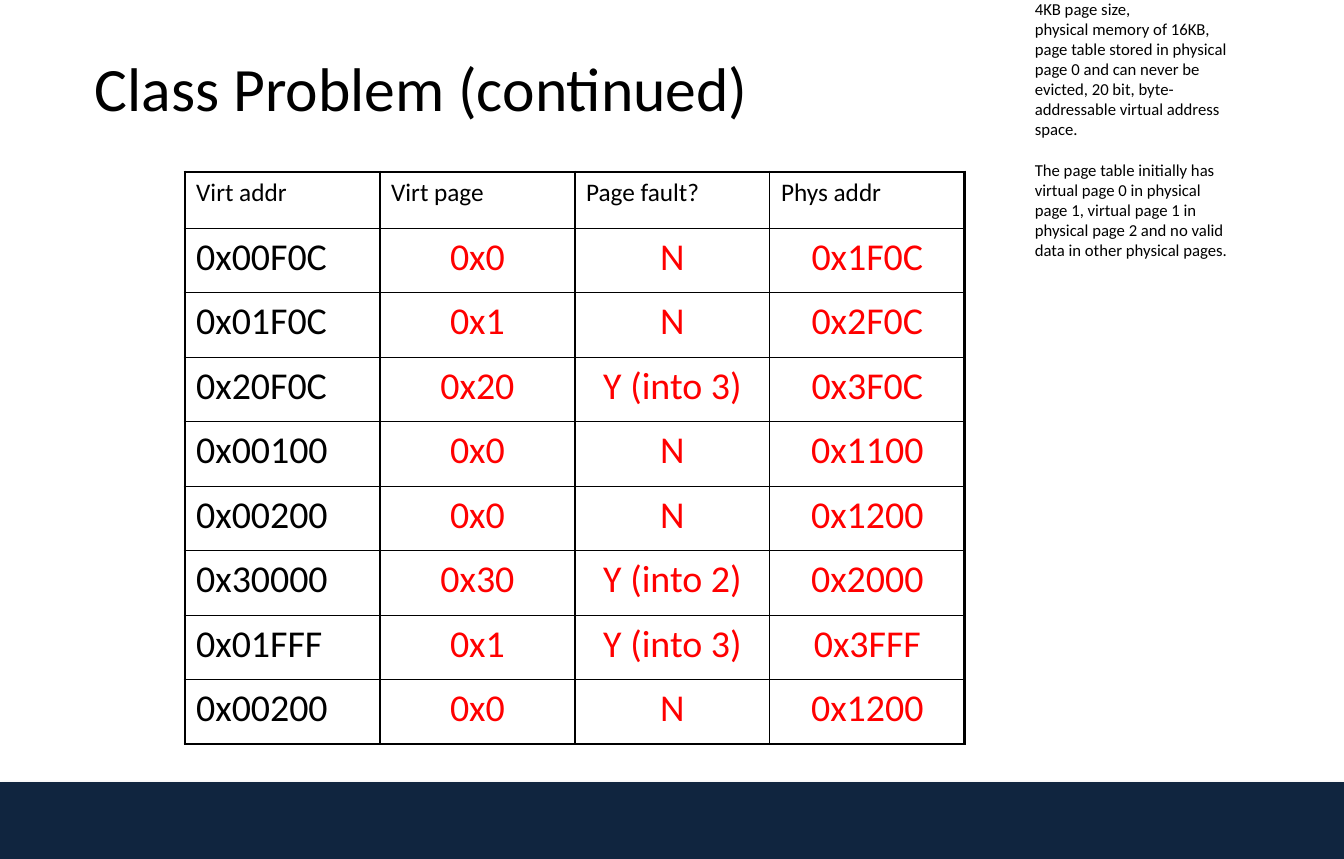
from dataclasses import dataclass

from lxml.etree import SubElement
from pptx import Presentation
from pptx.dml.color import RGBColor
from pptx.enum.shapes import MSO_SHAPE as Shape
from pptx.enum.text import MSO_ANCHOR as Anchor, PP_ALIGN as Align
from pptx.oxml import parse_xml
from pptx.oxml.ns import nsdecls, qn
from pptx.util import Cm, Pt


@dataclass(frozen=True)
class Theme:
    font: str = "Calibri"
    ink: str = "000000"
    answer: str = "FF0000"
    band: str = "10253F"
    shadow: str = "808080"
    title_size: float = 43.9
    header_size: float = 18
    cell_size: float = 27
    note_size: float = 11.9
    outer_line: float = 2.25
    inner_line: float = 1


SLIDE_WIDTH, SLIDE_HEIGHT = 33.78, 21.59
BAND_HEIGHT = 1.93
COLUMN_WIDTH, HEADER_HEIGHT, ROW_HEIGHT = 4.95 - 0.05, 1.42, 1.62

HEADERS = ["Virt addr", "Virt page", "Page fault?", "Phys addr"]
ACCESSES = [
    ["0x00F0C", "0x0", "N", "0x1F0C"],
    ["0x01F0C", "0x1", "N", "0x2F0C"],
    ["0x20F0C", "0x20", "Y (into 3)", "0x3F0C"],
    ["0x00100", "0x0", "N", "0x1100"],
    ["0x00200", "0x0", "N", "0x1200"],
    ["0x30000", "0x30", "Y (into 2)", "0x2000"],
    ["0x01FFF", "0x1", "Y (into 3)", "0x3FFF"],
    ["0x00200", "0x0", "N", "0x1200"],
]
ASSUMPTIONS = [
    "4KB page size,",
    "physical memory of 16KB, page table stored in physical page 0 and can never be "
    "evicted, 20 bit, byte-addressable virtual address space.",
    "The page table initially has virtual page 0 in physical page 1, virtual page 1 in "
    "physical page 2 and no valid data in other physical pages.",
]


class SlideBuilder:
    def __init__(self, slide, theme):
        self.slide = slide
        self.theme = theme

    def add_run(self, paragraph, text, size, color=None):
        run = paragraph.add_run()
        run.text = text
        run.font.name = self.theme.font
        run.font.size = Pt(size)
        run.font.color.rgb = RGBColor.from_string(color or self.theme.ink)

    def add_band(self, left, top, width, height):
        band = self.slide.shapes.add_shape(
            Shape.RECTANGLE, Cm(left), Cm(top), Cm(width), Cm(height))
        band.fill.solid()
        band.fill.fore_color.rgb = RGBColor.from_string(self.theme.band)
        band.line.fill.background()
        band.shadow.inherit = False
        effects = band._element.spPr.find(qn("a:effectLst"))
        effects.append(parse_xml(
            f'<a:outerShdw {nsdecls("a")} blurRad="{Pt(3.1)}" dist="{Pt(1.8)}" '
            f'dir="5400000" rotWithShape="0"><a:srgbClr val="{self.theme.shadow}">'
            '<a:alpha val="35000"/></a:srgbClr></a:outerShdw>'))

    def add_text(self, left, top, width, height, lines, size,
                 anchor=Anchor.TOP, line_spacing=1.0, last_gap=0):
        """Write one paragraph per line, with last_gap points before the last."""
        box = self.slide.shapes.add_textbox(Cm(left), Cm(top), Cm(width), Cm(height))
        frame = box.text_frame
        frame.word_wrap = True
        frame.vertical_anchor = anchor
        for index, line in enumerate(lines):
            paragraph = frame.add_paragraph() if index else frame.paragraphs[0]
            paragraph.line_spacing = line_spacing
            self.add_run(paragraph, line, size)
        paragraph.space_before = Pt(last_gap)

    def set_borders(self, cell, outer_sides):
        """Draw all four sides, using the heavy line on those in outer_sides."""
        properties = cell._tc.get_or_add_tcPr()
        for index, side in enumerate("LRTB"):
            width = self.theme.outer_line if side in outer_sides else self.theme.inner_line
            line = SubElement(properties, qn(f"a:ln{side}"), w=str(Pt(width)))
            fill = SubElement(line, qn("a:solidFill"))
            SubElement(fill, qn("a:srgbClr"), val=self.theme.ink)
            properties.insert(index, line)

    def add_table(self, left, top, rows):
        row_count, column_count = len(rows), len(rows[0])
        table = self.slide.shapes.add_table(
            row_count, column_count, Cm(left), Cm(top), Cm(COLUMN_WIDTH * column_count),
            Cm(HEADER_HEIGHT + ROW_HEIGHT * (row_count - 1))).table
        table.first_row = table.horz_banding = False
        for column in table.columns:
            column.width = Cm(COLUMN_WIDTH)
        for row_index, values in enumerate(rows):
            table.rows[row_index].height = Cm(ROW_HEIGHT if row_index else HEADER_HEIGHT)
            for column_index, value in enumerate(values):
                cell = table.cell(row_index, column_index)
                cell.margin_left = cell.margin_right = Cm(0.28)
                cell.margin_top = cell.margin_bottom = Cm(0.15)
                cell.fill.background()
                edges = {"L": column_index == 0, "R": column_index == column_count - 1,
                         "T": row_index == 0, "B": row_index == row_count - 1}
                self.set_borders(cell, [side for side in edges if edges[side]])
                is_answer = row_index > 0 and column_index > 0
                paragraph = cell.text_frame.paragraphs[0]
                paragraph.alignment = Align.CENTER if is_answer else Align.LEFT
                self.add_run(paragraph, value,
                             self.theme.cell_size if row_index else self.theme.header_size,
                             self.theme.answer if is_answer else self.theme.ink)


def main():
    presentation = Presentation()
    presentation.slide_width = Cm(SLIDE_WIDTH)
    presentation.slide_height = Cm(SLIDE_HEIGHT)
    slide = presentation.slides.add_slide(presentation.slide_layouts[6])
    theme = Theme()
    builder = SlideBuilder(slide, theme)
    builder.add_band(0, SLIDE_HEIGHT - BAND_HEIGHT, SLIDE_WIDTH, BAND_HEIGHT)
    builder.add_text(2.13, 0.97, 29.57, 2.64, ["Class Problem (continued)"],
                     theme.title_size, anchor=Anchor.MIDDLE, line_spacing=0.9)
    builder.add_table(4.65, 4.32, [HEADERS] + ACCESSES)
    builder.add_text(25.76, -0.15, 5.51, 8.31, ASSUMPTIONS,
                     theme.note_size, last_gap=14.5)
    presentation.save("out.pptx")


if __name__ == "__main__":
    main()
